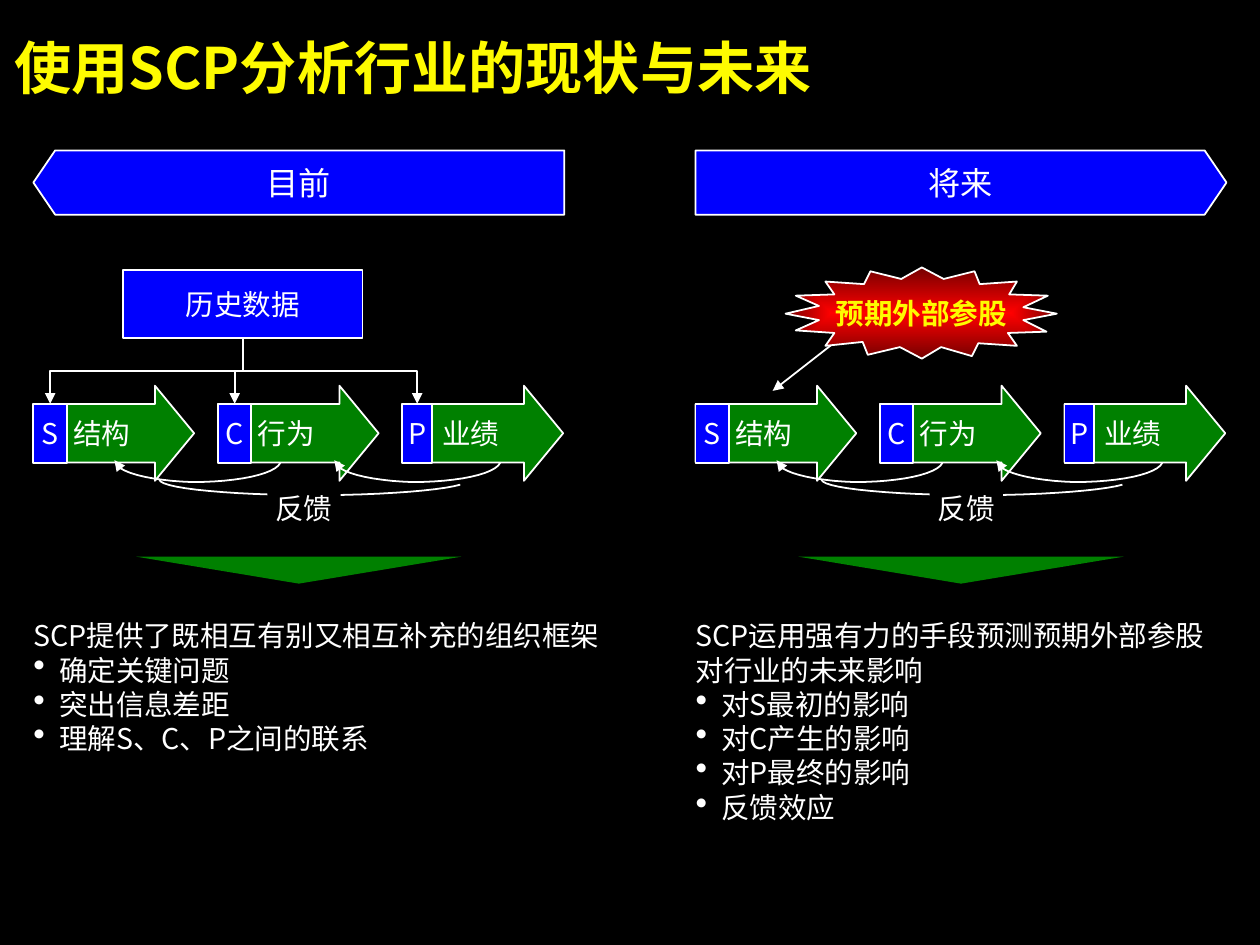
import pptx
import pptx.dml.color
import pptx.enum.dml
import pptx.enum.shapes
import pptx.enum.text
import pptx.oxml.ns
import pptx.util
from lxml import etree

Inches = pptx.util.Inches
Pt = pptx.util.Pt
SHAPE = pptx.enum.shapes.MSO_SHAPE
CONNECTOR = pptx.enum.shapes.MSO_CONNECTOR
ALIGN = pptx.enum.text.PP_ALIGN
FONT = "Noto Sans CJK SC"
BLACK, WHITE, YELLOW = "000000", "FFFFFF", "FEFB00"
BLUE, GREEN, RED, DARK_RED = "0000FE", "008000", "FF0000", "750000"

STEPS = [("S", "结构", 0.26), ("C", "行为", 0.26), ("P", "业绩", 0.23)]
STEP_PITCH = 1.435
LOOP_PITCH = 1.71
LOOP = [(1.92, 0.6), (1.88, 0.69), (1.58, 0.75), (1.24, 0.75),
        (0.9, 0.74), (0.63, 0.67), (0.63, 0.58)]
SWEEP = [(3.32, 0.77), (3.15, 0.82), (2.58, 0.86), (2, 0.85),
         (1.41, 0.84), (0.98, 0.79), (0.98, 0.73)]
BURST = [(0, 0.36), (0.26, 0.41), (0.08, 0.49), (0.38, 0.51), (0.31, 0.61), (0.6, 0.58),
         (0.64, 0.68), (0.89, 0.62), (1.06, 0.71), (1.21, 0.62), (1.45, 0.69), (1.5, 0.59),
         (1.8, 0.61), (1.73, 0.51), (2.03, 0.5), (1.85, 0.41), (2.11, 0.36), (1.85, 0.31),
         (2.04, 0.22), (1.74, 0.21), (1.8, 0.11), (1.51, 0.13), (1.47, 0.03), (1.23, 0.09),
         (1.06, 0), (0.9, 0.09), (0.66, 0.03), (0.61, 0.13), (0.31, 0.11), (0.38, 0.21),
         (0.08, 0.22), (0.26, 0.3)]


def rgb(color):
    return pptx.dml.color.RGBColor.from_string(color)


def sub(parent, tag, **attrs):
    return etree.SubElement(parent, pptx.oxml.ns.qn(tag), attrs)


def write(tf, text, size=16, color=WHITE, bold=False, align=ALIGN.LEFT,
          bullet=False, exact=False):
    """Fill the empty first paragraph, or add one; exact fixes the line height."""
    p = tf.paragraphs[0] if not tf.paragraphs[0].runs else tf.add_paragraph()
    p.alignment = align
    if exact:
        p.line_spacing = Pt(size * 1.2)
    if bullet:
        pPr = p._p.get_or_add_pPr()
        pPr.set("marL", str(Inches(0.2)))
        pPr.set("indent", str(-Inches(0.2)))
        sub(sub(pPr, "a:buClr"), "a:srgbClr", val=color)
        sub(pPr, "a:buSzPct", val="120000")
        sub(pPr, "a:buChar", char="•")
    r = p.add_run()
    r.text = text
    r.font.size, r.font.bold, r.font.name = Pt(size), bold, FONT
    r.font.color.rgb = rgb(color)
    sub(r._r.get_or_add_rPr(), "a:ea", typeface=FONT)


def style(s, fill=None, line=WHITE):
    s.shadow.inherit = False
    if fill:
        s.fill.solid()
        s.fill.fore_color.rgb = rgb(fill)
    else:
        s.fill.background()
    if line:
        s.line.color.rgb = rgb(line)
        s.line.width = Pt(1)
    else:
        s.line.fill.background()


def label(s, text, **fmt):
    tf = s.text_frame
    tf.word_wrap = False
    tf.vertical_anchor = pptx.enum.text.MSO_ANCHOR.MIDDLE
    write(tf, text, align=ALIGN.CENTER, **fmt)


def no_insets(tf):
    tf.word_wrap = True
    tf.margin_left = tf.margin_right = tf.margin_top = tf.margin_bottom = 0


def add_preset(slide, kind, x, y, w, h, fill, line=WHITE):
    s = slide.shapes.add_shape(kind, Inches(x), Inches(y), Inches(w), Inches(h))
    style(s, fill, line)
    return s


def add_outline(slide, x, y, points, fill=None, close=True):
    emu = [(Inches(x + dx), Inches(y + dy)) for dx, dy in points]
    builder = slide.shapes.build_freeform(*emu[0])
    builder.add_line_segments(emu[1:], close=close)
    s = builder.convert_to_shape()
    style(s, fill)
    return s


def add_arrowhead(s):
    sub(s.line._get_or_add_ln(), "a:tailEnd", type="triangle")


def add_curve(slide, x, y, controls, steps=12):
    """Draw two joined cubic Bézier arcs as an open outline."""
    points = [controls[0]]
    for start in (0, 3):
        a, b, c, d = controls[start:start + 4]
        for i in range(1, steps + 1):
            t = i / steps
            u = 1 - t
            points.append(tuple(u**3 * a[k] + 3 * u * u * t * b[k] + 3 * u * t * t * c[k]
                                + t**3 * d[k] for k in (0, 1)))
    return add_outline(slide, x, y, points, close=False)


def add_arrow(slide, kind, x1, y1, x2, y2):
    s = slide.shapes.add_connector(kind, Inches(x1), Inches(y1), Inches(x2), Inches(y2))
    s.line.color.rgb = rgb(WHITE)
    s.line.width = Pt(1)
    add_arrowhead(s)
    sub(s._element.spPr, "a:effectLst")
    return s


def add_drop(slide, x1, y1, x2, y2):
    """Elbow arrow that leaves and arrives vertically: a level elbow turned by 90°."""
    cx, cy, dx, dy = (x1 + x2) / 2, (y1 + y2) / 2, x2 - x1, y2 - y1
    s = add_arrow(slide, CONNECTOR.ELBOW, cx - dy / 2, cy + dx / 2, cx + dy / 2, cy - dx / 2)
    s._element.spPr.xfrm.set("rot", str(90 * 60000))


def add_title(slide, x, y, w, h, text):
    tf = slide.shapes.add_textbox(Inches(x), Inches(y), Inches(w), Inches(h)).text_frame
    no_insets(tf)
    write(tf, text, size=32, color=YELLOW, bold=True, exact=True)


def add_banner(slide, x, y, w, h, text, to_left):
    points = [(0, 0), (w - 0.17, 0), (w, h / 2), (w - 0.17, h), (0, h)]
    if to_left:
        points = [(w - px, py) for px, py in points]
    label(add_outline(slide, x, y, points, BLUE), text, size=18)


def add_scp_chain(slide, x, y):
    for i, (letter, name, letter_w) in enumerate(STEPS):
        left = x + i * STEP_PITCH
        s = add_preset(slide, SHAPE.RIGHT_ARROW, left, y, 1.25, 0.74, GREEN)
        s.adjustments[0], s.adjustments[1] = 0.613, 0.412
        label(s, name)
        label(add_preset(slide, SHAPE.RECTANGLE, left, y + 0.14, letter_w, 0.46, BLUE), letter)
    for i in range(2):
        add_arrowhead(add_curve(slide, x + i * LOOP_PITCH, y, LOOP))
    add_curve(slide, x, y, SWEEP)
    s = add_preset(slide, SHAPE.RECTANGLE, x + 1.82, y + 0.82, 0.57, 0.27, BLACK, None)
    no_insets(s.text_frame)
    s.text_frame.vertical_anchor = pptx.enum.text.MSO_ANCHOR.TOP
    write(s.text_frame, "反馈", align=ALIGN.CENTER, exact=True)


def add_panel(slide, x, y, w, heading, to_left, text_w, lead, bullets):
    add_banner(slide, x, y, w, 0.5, heading, to_left)
    add_scp_chain(slide, x, y + 1.83)
    s = add_preset(slide, SHAPE.ISOSCELES_TRIANGLE, x + 0.8, y + 3.16, 2.53, 0.21, GREEN, None)
    s._element.spPr.xfrm.set("flipV", "1")
    tf = slide.shapes.add_textbox(Inches(x), Inches(y + 3.64), Inches(text_w),
                                  Inches(1.6)).text_frame
    no_insets(tf)
    write(tf, lead, exact=True)
    for bullet in bullets:
        write(tf, bullet, bullet=True, exact=True)


def add_history(slide, x, y):
    w, h = 1.86, 0.53
    label(add_preset(slide, SHAPE.RECTANGLE, x + 0.7, y + 0.93, w, h, BLUE), "历史数据")
    for i, (_, _, letter_w) in enumerate(STEPS):
        add_drop(slide, x + 0.7 + w / 2, y + 0.93 + h,
                 x + i * STEP_PITCH + letter_w / 2, y + 1.97)


def add_external_impact(slide, x, y):
    add_arrow(slide, CONNECTOR.STRAIGHT, x + 1.15, y + 1.44, x + 0.6, y + 1.87)
    s = add_outline(slide, x + 0.7, y + 0.91, BURST, RED)
    s.fill.gradient()
    for stop, color in zip(s.fill.gradient_stops, (RED, DARK_RED)):
        stop.color.rgb = rgb(color)
    grad = s._element.spPr.find(pptx.oxml.ns.qn("a:gradFill"))
    grad.remove(grad.find(pptx.oxml.ns.qn("a:lin")))
    centre = dict.fromkeys("ltrb", "50000")
    sub(sub(grad, "a:path", path="rect"), "a:fillToRect", **centre)
    label(s, "预期外部参股", color=YELLOW, bold=True)


def main():
    prs = pptx.Presentation()
    prs.slide_width, prs.slide_height = Inches(9.8), Inches(7.35)
    slide = prs.slides.add_slide(prs.slide_layouts[6])
    slide.background.fill.solid()
    slide.background.fill.fore_color.rgb = rgb(BLACK)
    add_title(slide, 0.11, 0.25, 9.51, 0.53, "使用SCP分析行业的现状与未来")
    now_x, future_x, top = 0.26, 5.41, 1.17
    add_panel(slide, now_x, top, 4.13, "目前", True, 4.52,
              "SCP提供了既相互有别又相互补充的组织框架",
              ["确定关键问题", "突出信息差距", "理解S、C、P之间的联系"])
    add_history(slide, now_x, top)
    add_panel(slide, future_x, top, 4.13, "将来", False, 4.02,
              "SCP运用强有力的手段预测预期外部参股对行业的未来影响",
              ["对S最初的影响", "对C产生的影响", "对P最终的影响", "反馈效应"])
    add_external_impact(slide, future_x, top)
    prs.save("out.pptx")


if __name__ == "__main__":
    main()
